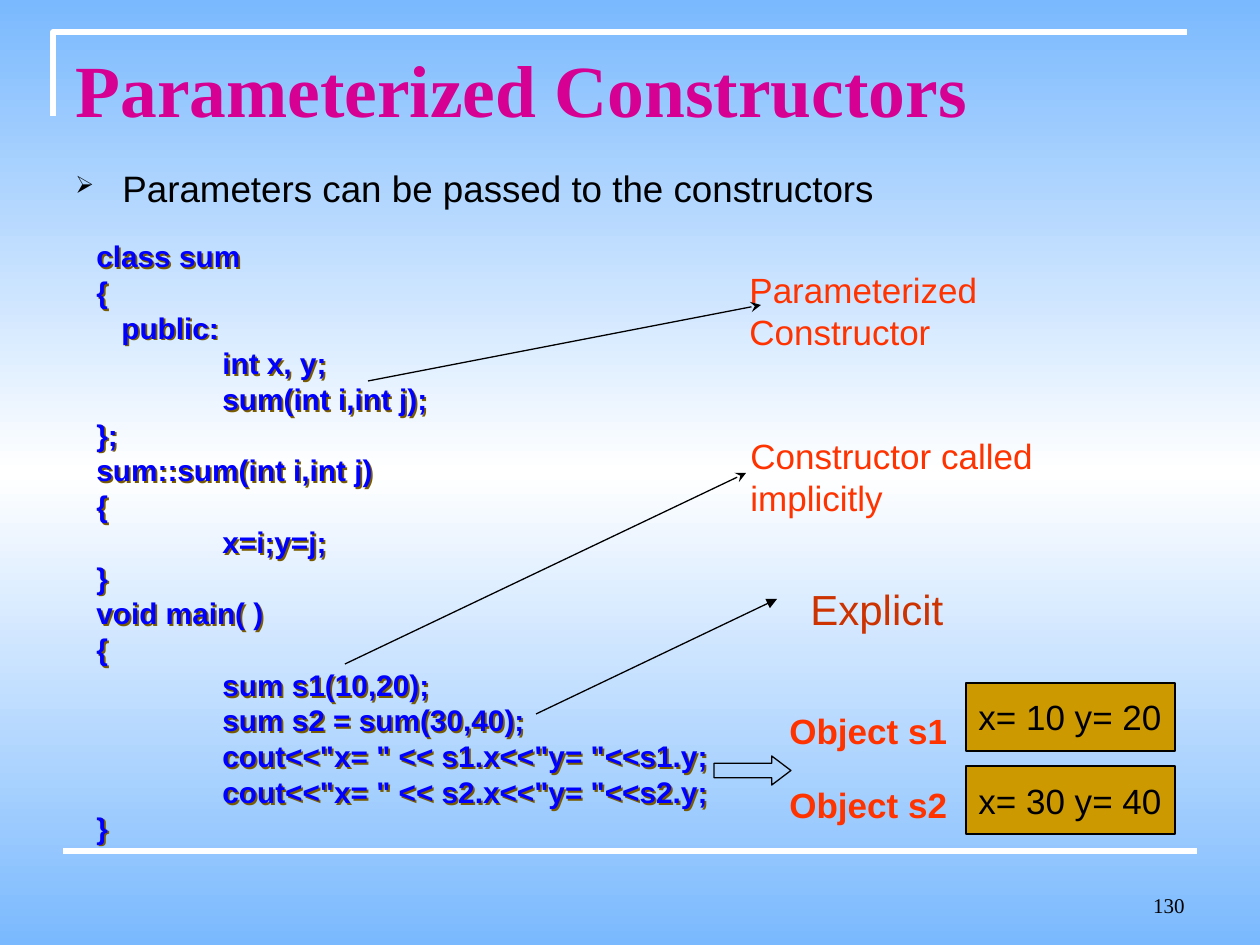
from copy import deepcopy

from lxml.etree import SubElement
from pptx import Presentation
from pptx.dml.color import RGBColor
from pptx.enum.shapes import MSO_CONNECTOR, MSO_SHAPE
from pptx.enum.text import MSO_ANCHOR as Anchor, MSO_AUTO_SIZE as AutoSize, PP_ALIGN as Align
from pptx.oxml.ns import qn
from pptx.util import Emu, Pt

EMU_PER_PX = 914400 / 126
SANS, SERIF = "Arial", "Times New Roman"
BLACK = RGBColor(0x00, 0x00, 0x00)
WHITE = RGBColor(0xFF, 0xFF, 0xFF)
SKY = RGBColor(0x7A, 0xB9, 0xFE)
MAGENTA = RGBColor(0xD6, 0x00, 0x93)
BLUE = RGBColor(0x00, 0x00, 0xFF)
BROWN = RGBColor(0x7A, 0x5C, 0x00)
GOLD = RGBColor(0xCC, 0x99, 0x00)
ORANGE = RGBColor(0xFF, 0x33, 0x00)
RUST = RGBColor(0xCC, 0x33, 0x00)

# Each code line with its indent in px
CODE = [
    (0, "class sum"),
    (0, "{"),
    (25, "public:"),
    (126, "int x, y;"),
    (126, "sum(int i,int j);"),
    (0, "};"),
    (0, "sum::sum(int i,int j)"),
    (0, "{"),
    (126, "x=i;y=j;"),
    (0, "}"),
    (0, "void main( )"),
    (0, "{"),
    (126, "sum s1(10,20);"),
    (126, "sum s2 = sum(30,40);"),
    (126, 'cout<<"x= " << s1.x<<"y= "<<s1.y;'),
    (126, 'cout<<"x= " << s2.x<<"y= "<<s2.y;'),
    (0, "}"),
]


def px(length):
    return Emu(round(length * EMU_PER_PX))


class SlideBuilder:
    def __init__(self, slide):
        self.slide = slide
        self.shapes = slide.shapes

    def background(self, edge, middle):
        fill = self.slide.background.fill
        fill.gradient()
        fill.gradient_angle = 90
        first, last = fill.gradient_stops
        first.color.rgb, first.position = middle, 0.5
        last.color.rgb, last.position = edge, 1
        stops = self.slide.background._cSld.find(".//" + qn("a:gsLst"))
        stops.insert(0, deepcopy(stops[1]))
        stops[0].set("pos", "0")

    def style(self, frame, size, color, font=SANS, bold=False):
        for paragraph in frame.paragraphs:
            for run in paragraph.runs:
                run.font.size = Pt(size)
                run.font.name = font
                run.font.bold = bold
                run.font.color.rgb = color

    def title(self, text, box, size, color):
        title = self.shapes.title
        title.left, title.top, title.width, title.height = map(px, box)
        frame = title.text_frame
        frame.text = text
        frame.vertical_anchor = Anchor.TOP
        frame.auto_size = AutoSize.NONE
        frame.paragraphs[0].alignment = Align.LEFT
        self.style(frame, size, color, SERIF, bold=True)

    def text(self, text, box, size, color, font=SANS, bold=False, before=0, wrap=True, grow=False):
        frame = self.shapes.add_textbox(*map(px, box)).text_frame
        frame.text = text
        frame.word_wrap = wrap
        frame.auto_size = AutoSize.SHAPE_TO_FIT_TEXT if grow else AutoSize.NONE
        if before:
            frame.paragraphs[0].space_before = Pt(before)
        self.style(frame, size, color, font, bold)
        return frame

    def bullet(self, text, box, size, mark, indent):
        paragraph = self.text(text, box, size, BLACK, before=5.2).paragraphs[0]
        paragraph.line_spacing = 0.8
        props = paragraph._p.get_or_add_pPr()
        props.set("marL", str(px(indent)))
        props.set("indent", str(-px(indent)))
        color = SubElement(props, qn("a:buClr"))
        SubElement(color, qn("a:srgbClr"), val=str(BLACK))
        SubElement(props, qn("a:buSzPct"), val="65000")
        SubElement(props, qn("a:buChar"), char=mark)

    def code(self, lines, box, size, color, shadow):
        listing = "\n".join(line for _, line in lines)
        frame = self.text(listing, box, size, color, bold=True, wrap=False)
        frame.vertical_anchor = Anchor.MIDDLE
        for paragraph, (indent, _) in zip(frame.paragraphs, lines):
            paragraph._p.get_or_add_pPr().set("marL", str(px(indent)))
        effects = SubElement(frame._txBody.getparent().spPr, qn("a:effectLst"))
        cast = SubElement(effects, qn("a:outerShdw"), dist="17961", dir="2700000")
        SubElement(cast, qn("a:srgbClr"), val=str(shadow))

    def outline(self, shape, color, width, fill=None):
        shape.shadow.inherit = False
        shape.line.color.rgb = color
        shape.line.width = Pt(width)
        if fill is None:
            shape.fill.background()
        else:
            shape.fill.solid()
            shape.fill.fore_color.rgb = fill

    def value_box(self, text, box, fill):
        shape = self.shapes.add_shape(MSO_SHAPE.RECTANGLE, *map(px, box))
        self.outline(shape, BLACK, 0.75, fill)
        frame = shape.text_frame
        frame.text = text
        frame.word_wrap = False
        frame.vertical_anchor = Anchor.MIDDLE
        frame.paragraphs[0].alignment = Align.LEFT
        self.style(frame, 20, BLACK)

    def block_arrow(self, box):
        arrow = self.shapes.add_shape(MSO_SHAPE.RIGHT_ARROW, *map(px, box))
        arrow.adjustments[1] = 0.66
        self.outline(arrow, BLACK, 0.75)

    def polyline(self, points, color, width):
        start, *rest = points
        builder = self.shapes.build_freeform(*start, scale=EMU_PER_PX)
        builder.add_line_segments(rest, close=False)
        self.outline(builder.convert_to_shape(), color, width)

    def line(self, start, end, color, width, head=None):
        line = self.shapes.add_connector(MSO_CONNECTOR.STRAIGHT, *map(px, start + end))
        line.line.color.rgb = color
        line.line.width = Pt(width)
        if head:
            SubElement(line.line._get_or_add_ln(), qn("a:tailEnd"), type=head)
        SubElement(line._element.spPr, qn("a:effectLst"))


def main():
    deck = Presentation()
    deck.slide_width, deck.slide_height = px(1260), px(945)
    page = SlideBuilder(deck.slides.add_slide(deck.slide_layouts[5]))

    # Background and frame lines
    page.background(SKY, WHITE)
    page.polyline([(53, 116), (53, 32), (1187, 32)], WHITE, 3)
    page.line((63, 851), (1197, 851), WHITE, 3)

    # Page number
    number = page.text("130", (903, 861, 294, 63), 12, BLACK, SERIF)
    number.vertical_anchor = Anchor.BOTTOM
    number.paragraphs[0].alignment = Align.RIGHT

    # Title, statement and code
    page.title("Parameterized Constructors", (63, 38, 1134, 158), 42, MAGENTA)
    page.bullet("Parameters can be passed to the constructors", (63, 168, 1113, 49), 21, "➢", 47)
    page.code(CODE, (84, 242, 451, 599), 17, BLUE, BROWN)

    # Objects and their values
    page.block_arrow((714, 756, 77, 29))
    objects = [("Object s1", 703, "x= 10 y= 20", 683), ("Object s2", 777, "x= 30 y= 40", 766)]
    for name, name_top, values, values_top in objects:
        page.text(name, (777, name_top, 185, 55), 20, ORANGE, bold=True, before=12.5, grow=True)
        page.value_box(values, (966, values_top, 209, 68), GOLD)

    # Remarks with arrows from the code
    remarks = [
        ("Parameterized Constructor", (737, 262, 334, 97), 20, ORANGE, 12.5),
        ("Constructor called implicitly", (738, 428, 354, 97), 20, ORANGE, 12.5),
        ("Explicit", (798, 577, 199, 63), 24, RUST, 15),
    ]
    for remark, box, size, color, before in remarks:
        page.text(remark, box, size, color, before=before, grow=True)
    arrows = [
        ((368, 381), (761, 305), "stealth"),
        ((345, 664), (746, 473), "stealth"),
        ((536, 714), (777, 599), "triangle"),
    ]
    for start, end, head in arrows:
        page.line(start, end, BLACK, 0.75, head)

    deck.save("out.pptx")


if __name__ == "__main__":
    main()
